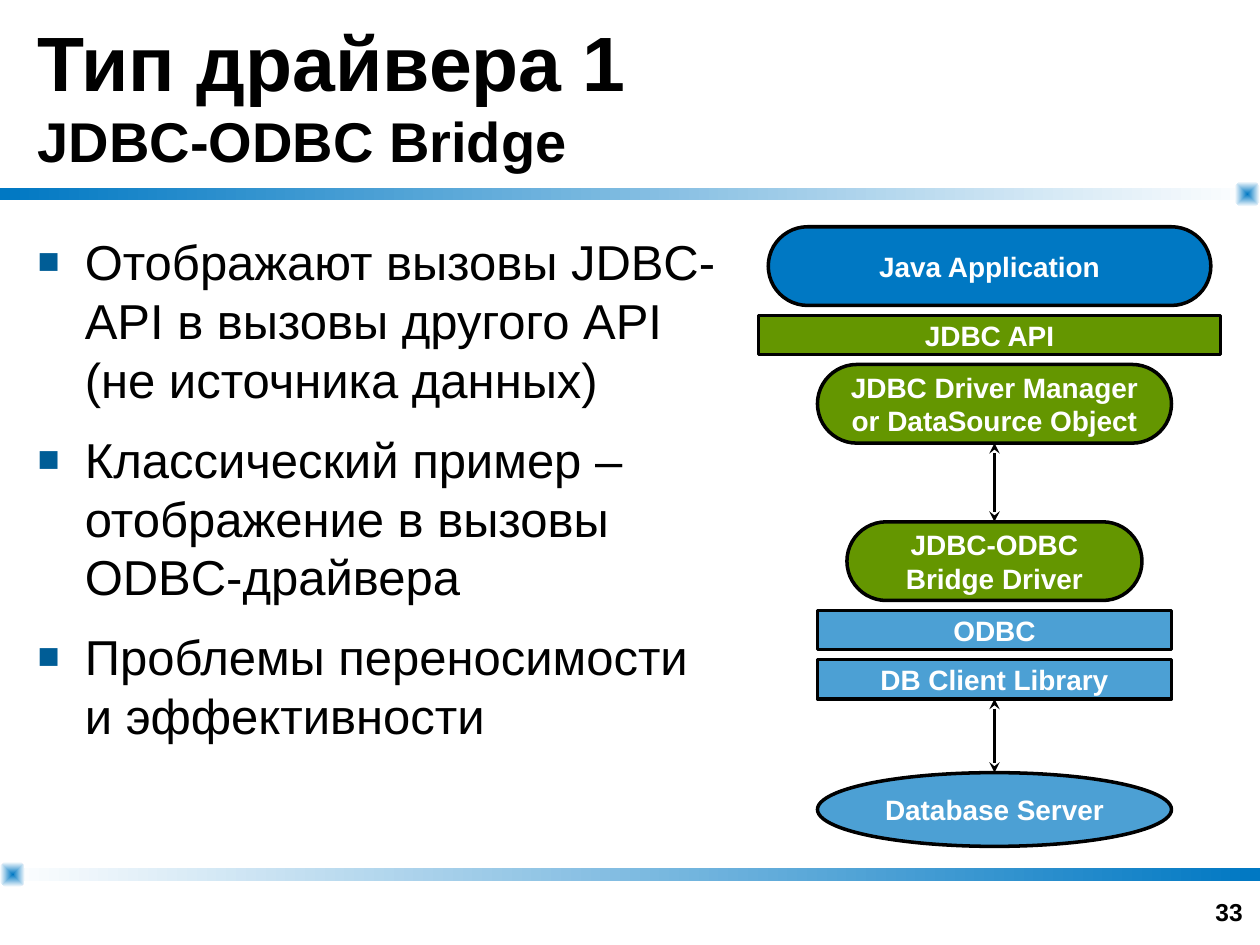
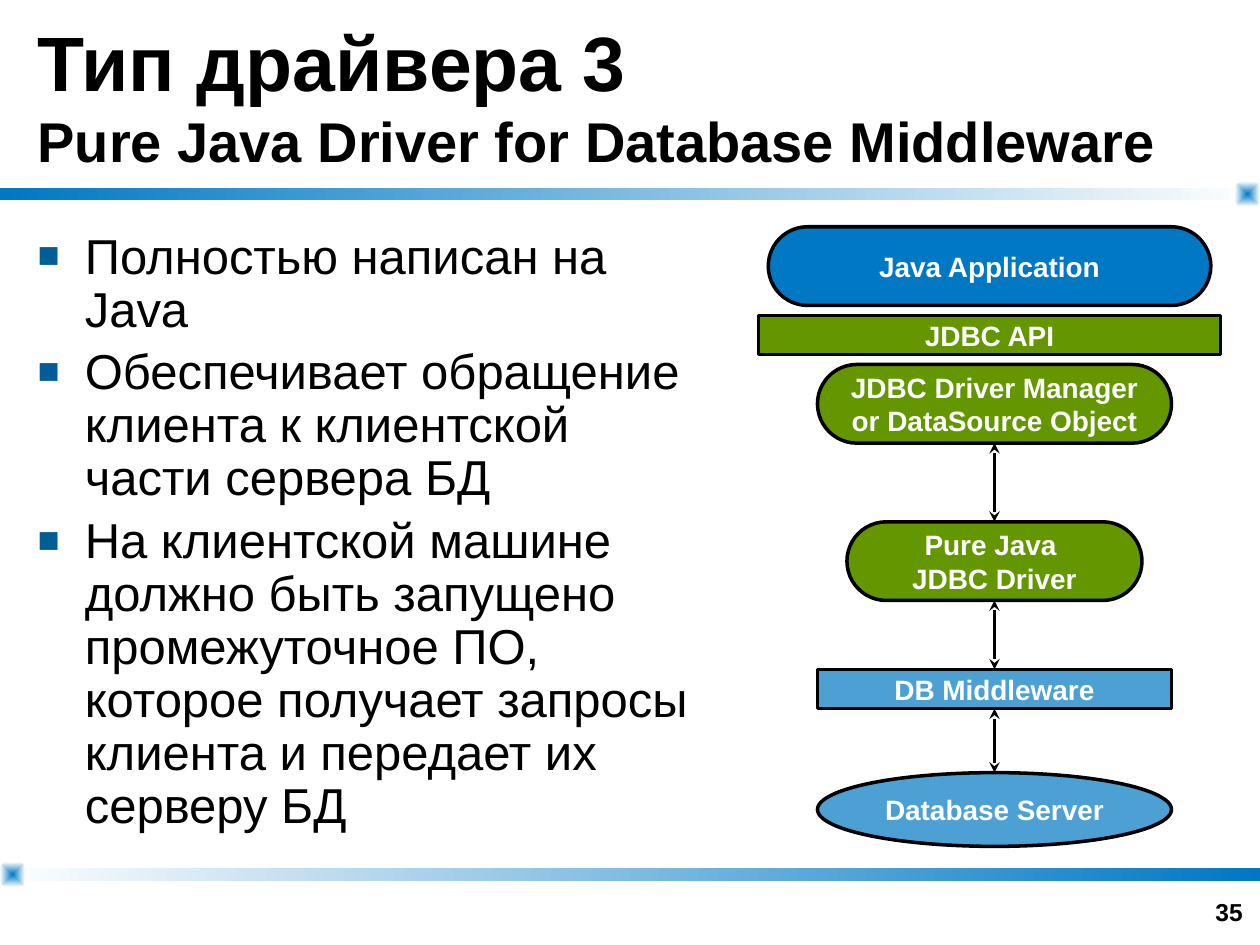
from collections import namedtuple

from lxml import etree
from pptx import Presentation
from pptx.dml.color import RGBColor
from pptx.enum.shapes import MSO_CONNECTOR, MSO_SHAPE
from pptx.enum.text import MSO_ANCHOR, PP_ALIGN
from pptx.oxml.ns import qn
from pptx.util import Pt

RECT, ROUNDED, OVAL = MSO_SHAPE.RECTANGLE, MSO_SHAPE.ROUNDED_RECTANGLE, MSO_SHAPE.OVAL
STRAIGHT = MSO_CONNECTOR.STRAIGHT
TOP, MIDDLE, BOTTOM = MSO_ANCHOR.TOP, MSO_ANCHOR.MIDDLE, MSO_ANCHOR.BOTTOM
LEFT, CENTER, RIGHT = PP_ALIGN.LEFT, PP_ALIGN.CENTER, PP_ALIGN.RIGHT

COLORS = {
    "blue": "0078C3",
    "green": "649600",
    "bullet": "005D96",
    "white": "FFFFFF",
    "black": "000000",
}
FONT = "Arial"

Box = namedtuple("Box", "left top width height")
Layer = namedtuple("Layer", "outline fill alpha width height center")

SLIDE = Box(0, 0, 720, 540)
TITLE = Box(14.4, 0, 691.2, 107.3)
BODY = Box(14.4, 128.9, 402.5, 352.8)
PAGE_NUMBER = Box(549.4, 496.8, 167.8, 36)
BAND_HEIGHT = 7.2
KNOB_SIZE = 14.4

# The driver stack stands on a grid of square units; layers are measured in units.
UNIT = 5.62
STACK = Box(433.4, 129.6, 47 * UNIT, 63 * UNIT)
LAYERS = {
    "application": Layer(ROUNDED, "blue", 100, 45, 8, 23.5),
    "api": Layer(RECT, "green", 100, 47, 4, 23.5),
    "manager": Layer(ROUNDED, "green", 100, 36, 8, 24),
    "driver": Layer(ROUNDED, "green", 100, 30, 8, 24),
    "library": Layer(RECT, "blue", 70, 36, 4, 24),
    "server": Layer(OVAL, "blue", 70, 36, 7.5, 24),
}
COMMON_TOP = [
    ("application", 0, "Java Application"),
    ("api", 9, "JDBC API"),
    ("manager", 14, "JDBC Driver Manager or DataSource Object"),
]
COMMON_BOTTOM = [("server", 55.5, "Database Server")]

DRIVER_TYPES = [
    {
        "title": "Тип драйвера 1",
        "subtitle": "JDBC-ODBC Bridge",
        "number": "33",
        "line_spacing": 1,
        "space_before": 12,
        "body_width": 402.5,
        "points": [
            "Отображают вызовы JDBC-API в вызовы другого API (не источника данных)",
            "Классический пример – отображение в вызовы ODBC-драйвера",
            "Проблемы переносимости и эффективности",
        ],
        "layers": [
            ("driver", 30, "JDBC-ODBC Bridge Driver"),
            ("library", 39, "ODBC"),
            ("library", 44, "DB Client Library"),
        ],
    },
    {
        "title": "Тип драйвера 3",
        "subtitle": "Pure Java Driver for Database Middleware",
        "number": "35",
        "line_spacing": 0.9,
        "space_before": 5.6,
        "body_width": 396.7,
        "points": [
            "Полностью написан на Java",
            "Обеспечивает обращение клиента к клиентской части сервера БД",
            "На клиентской машине должно быть запущено промежуточное ПО, "
            "которое получает запросы клиента и передает их серверу БД",
        ],
        "layers": [
            ("driver", 30, "Pure Java \vJDBC Driver"),
            ("library", 45, "DB Middleware"),
        ],
    },
]


def rgb(name):
    return RGBColor.from_string(COLORS[name])


def points(box):
    return [Pt(length) for length in box]


def add_child(parent, tag, **attributes):
    return etree.SubElement(parent, qn(tag), attributes)


def style_paragraph(paragraph, sizes, bold=True, color="black", align=LEFT):
    """Format the runs in turn; the last size holds for any further runs."""
    paragraph.alignment = align
    for index, run in enumerate(paragraph.runs):
        run.font.name = FONT
        run.font.size = Pt(sizes[min(index, len(sizes) - 1)])
        run.font.bold = bold
        run.font.color.rgb = rgb(color)


def add_text(slide, box, anchor):
    frame = slide.shapes.add_textbox(*points(box)).text_frame
    frame.word_wrap = True
    frame.vertical_anchor = anchor
    return frame


def add_plain_shape(slide, outline, box):
    shape = slide.shapes.add_shape(outline, *points(box))
    shape.shadow.inherit = False
    return shape


def add_gradient(slide, outline, box, start, end):
    shape = add_plain_shape(slide, outline, box)
    shape.line.fill.background()
    shape.fill.gradient()
    shape.fill.gradient_angle = 0
    for stop, color in zip(shape.fill.gradient_stops, (start, end)):
        stop.color.rgb = rgb(color)
    return shape


def add_knob(slide, left, middle):
    """Small rounded square that glows from its centre."""
    box = Box(left, middle - KNOB_SIZE / 2, KNOB_SIZE, KNOB_SIZE)
    knob = add_gradient(slide, ROUNDED, box, "blue", "white")
    knob.adjustments[0] = 0.32
    gradient = knob._element.spPr.find(qn("a:gradFill"))
    gradient.remove(gradient.find(qn("a:lin")))
    radial = add_child(gradient, "a:path", path="shape")
    add_child(radial, "a:fillToRect", l="50000", t="50000", r="50000", b="50000")


def add_bands(slide, box):
    knob_right = box.left + box.width - KNOB_SIZE
    for offset, start, end, knob_left in (
        (107.3, "blue", "white", knob_right),
        (496.1, "white", "blue", box.left),
    ):
        top = box.top + offset
        band = Box(box.left, top, box.width, BAND_HEIGHT)
        add_gradient(slide, RECT, band, start, end)
        add_knob(slide, knob_left, top + BAND_HEIGHT / 2)


def add_title(slide, box, title, subtitle):
    heading = add_text(slide, box, MIDDLE).paragraphs[0]
    heading.text = f"{title}\v{subtitle}"
    style_paragraph(heading, [44, 32])


def add_page_number(slide, box, number):
    page = add_text(slide, box, BOTTOM).paragraphs[0]
    page.text = number
    style_paragraph(page, [14], align=RIGHT)


def set_bullet(paragraph):
    properties = paragraph._p.get_or_add_pPr()
    indent = Pt(27)
    properties.set("marL", str(indent))
    properties.set("indent", str(-indent))
    color = add_child(properties, "a:buClr")
    add_child(color, "a:srgbClr", val=COLORS["bullet"])
    add_child(properties, "a:buSzPct", val="75000")
    add_child(properties, "a:buFont", typeface=FONT)
    add_child(properties, "a:buChar", char="■")


def add_bullets(slide, box, items, line_spacing, space_before):
    frame = add_text(slide, box, TOP)
    for index, item in enumerate(items):
        paragraph = frame.add_paragraph() if index else frame.paragraphs[0]
        paragraph.text = item
        style_paragraph(paragraph, [28], bold=False)
        paragraph.line_spacing = line_spacing
        paragraph.space_before = Pt(space_before)
        set_bullet(paragraph)


def add_layer(slide, box, layer, label):
    shape = add_plain_shape(slide, layer.outline, box)
    if layer.outline == ROUNDED:
        shape.adjustments[0] = 0.5
    shape.fill.solid()
    shape.fill.fore_color.rgb = rgb(layer.fill)
    if layer.alpha < 100:
        color = shape._element.spPr.find(qn("a:solidFill"))[0]
        add_child(color, "a:alpha", val=str(layer.alpha * 1000))
    shape.line.color.rgb = rgb("black")
    shape.line.width = Pt(2)
    frame = shape.text_frame
    frame.word_wrap = True
    frame.vertical_anchor = MIDDLE
    frame.margin_top = frame.margin_bottom = 0
    frame.paragraphs[0].text = label
    style_paragraph(frame.paragraphs[0], [16], color="white", align=CENTER)


def add_double_arrow(slide, x, top, bottom):
    arrow = slide.shapes.add_connector(STRAIGHT, Pt(x), Pt(top), Pt(x), Pt(bottom))
    arrow.line.color.rgb = rgb("black")
    arrow.line.width = Pt(2)
    for end in ("a:headEnd", "a:tailEnd"):
        add_child(arrow.line._get_or_add_ln(), end, type="stealth")
    add_child(arrow._element.spPr, "a:effectLst")


def add_stack(slide, box, rows):
    """Draw the layers, with an arrow wherever two stand over one unit apart."""
    previous_bottom = 0
    for kind, top, label in rows:
        layer = LAYERS[kind]
        place = Box(
            box.left + (layer.center - layer.width / 2) * UNIT,
            box.top + top * UNIT,
            layer.width * UNIT,
            layer.height * UNIT,
        )
        add_layer(slide, place, layer, label)
        if top - previous_bottom > 1:
            add_double_arrow(
                slide,
                box.left + layer.center * UNIT,
                box.top + previous_bottom * UNIT,
                place.top,
            )
        previous_bottom = top + layer.height


def add_driver_slide(deck, driver):
    slide = deck.slides.add_slide(deck.slide_layouts[6])
    add_bands(slide, SLIDE)
    add_title(slide, TITLE, driver["title"], driver["subtitle"])
    add_bullets(
        slide,
        BODY._replace(width=driver["body_width"]),
        driver["points"],
        driver["line_spacing"],
        driver["space_before"],
    )
    add_page_number(slide, PAGE_NUMBER, driver["number"])
    add_stack(slide, STACK, COMMON_TOP + driver["layers"] + COMMON_BOTTOM)


def main():
    deck = Presentation()
    deck.slide_width, deck.slide_height = Pt(SLIDE.width), Pt(SLIDE.height)
    for driver in DRIVER_TYPES:
        add_driver_slide(deck, driver)
    deck.save("out.pptx")


if __name__ == "__main__":
    main()
